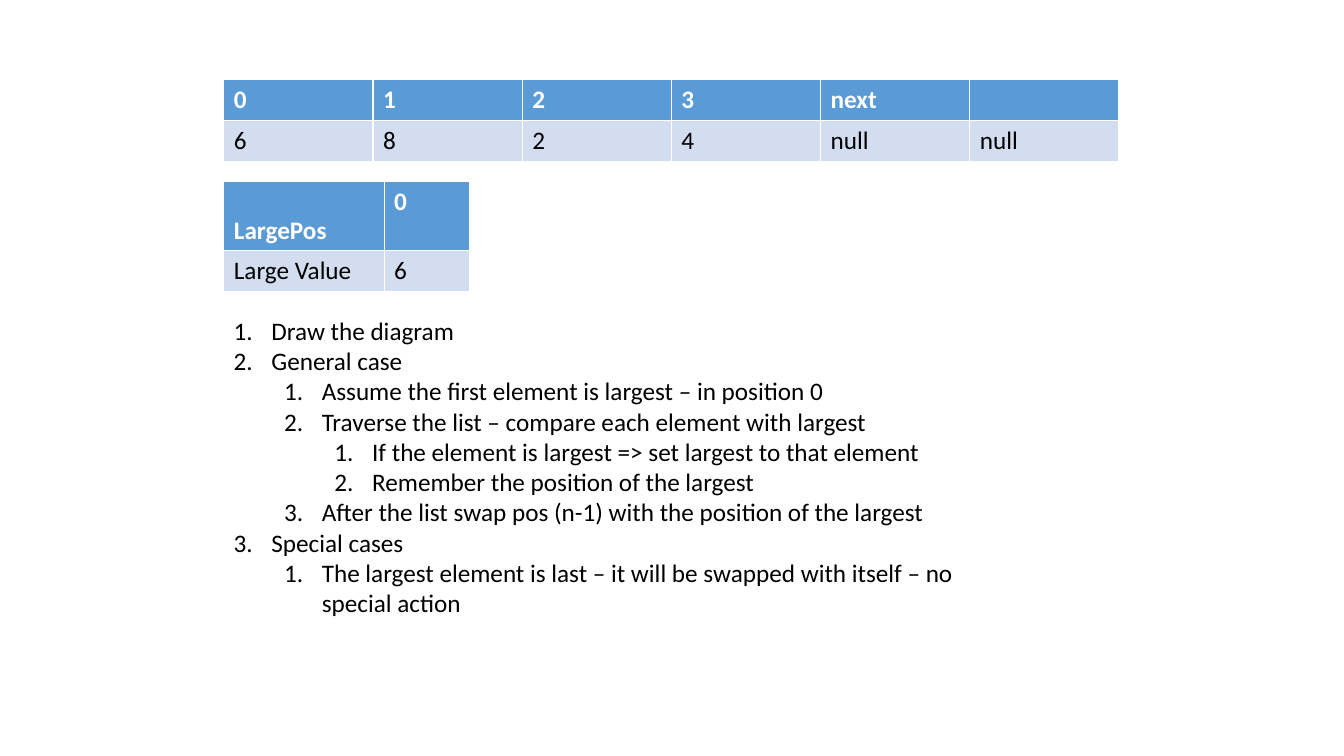
from pptx import Presentation
from pptx import util as u
from pptx.dml.color import RGBColor
from pptx.enum import text
from pptx.oxml.ns import qn
from lxml import etree

COLORS = {"head": "5B9BD5", "body": "D2DEEF", "light": "FFFFFF", "dark": "000000"}
LEFT = 5.64


class Deck:
    face = "Calibri"
    size = 18

    def __init__(self, slide):
        self.slide = slide

    def color(self, name):
        return RGBColor.from_string(COLORS[name])

    def font(self, para, tint, bold=False):
        font = para.font
        font.name = self.face
        font.size = u.Pt(self.size)
        font.bold = bold
        font.color.rgb = self.color(tint)

    def table(self, top, widths, heights, rows):
        frame = self.slide.shapes.add_table(
            len(rows), len(widths), u.Cm(LEFT), u.Cm(top),
            u.Cm(sum(widths)), u.Cm(sum(heights)))
        table = frame.table
        for col, width in zip(table.columns, widths):
            col.width = u.Cm(width)
        for r, (row, height) in enumerate(zip(rows, heights)):
            table.rows[r].height = u.Cm(height)
            fill, tint = ("body", "dark") if r else ("head", "light")
            for c, word in enumerate(row):
                cell = table.cell(r, c)
                cell.fill.solid()
                cell.fill.fore_color.rgb = self.color(fill)
                cell.text = word
                self.font(cell.text_frame.paragraphs[0], tint, r == 0)
        return table

    def steps(self, top, width, height, items):
        box = self.slide.shapes.add_textbox(
            u.Cm(LEFT), u.Cm(top), u.Cm(width), u.Cm(height))
        frame = box.text_frame
        frame.word_wrap = True
        for i, (level, line) in enumerate(items):
            para = frame.add_paragraph() if i else frame.paragraphs[0]
            para.text = line
            para.level = level
            self.font(para, "dark")
            self.number(para, level)

    def number(self, para, level):
        props = para._p.get_or_add_pPr()
        hang = u.Cm(0.95)
        props.set("marL", str(hang + level * u.Cm(1.27)))
        props.set("indent", str(-hang))
        mark = etree.Element(qn("a:buAutoNum"), type="arabicPeriod")
        props.insert(0, mark)


def main():
    prs = Presentation()
    prs.slide_width = u.Cm(33.87)
    prs.slide_height = u.Cm(19.05)
    deck = Deck(prs.slides.add_slide(prs.slide_layouts[6]))

    deck.table(2.01, [3.76] * 6, [1.03] * 2, [
        ["0", "1", "2", "3", "next", ""],
        ["6", "8", "2", "4", "null", "null"],
    ])
    large = deck.table(4.56, [4.04, 2.16], [1.76, 1.03], [
        ["LargePos", "0"],
        ["Large Value", "6"],
    ])
    large.cell(0, 0).vertical_anchor = text.MSO_ANCHOR.BOTTOM

    deck.steps(7.82, 19.15, 7.95, [
        (0, "Draw the diagram"),
        (0, "General case"),
        (1, "Assume the first element is largest – in position 0"),
        (1, "Traverse the list – compare each element with largest"),
        (2, "If the element is largest => set largest to that element"),
        (2, "Remember the position of the largest"),
        (1, "After the list swap pos (n-1) with the position of the largest"),
        (0, "Special cases"),
        (1, "The largest element is last – it will be swapped with itself"
            " – no special action"),
    ])
    prs.save("out.pptx")


if __name__ == "__main__":
    main()
